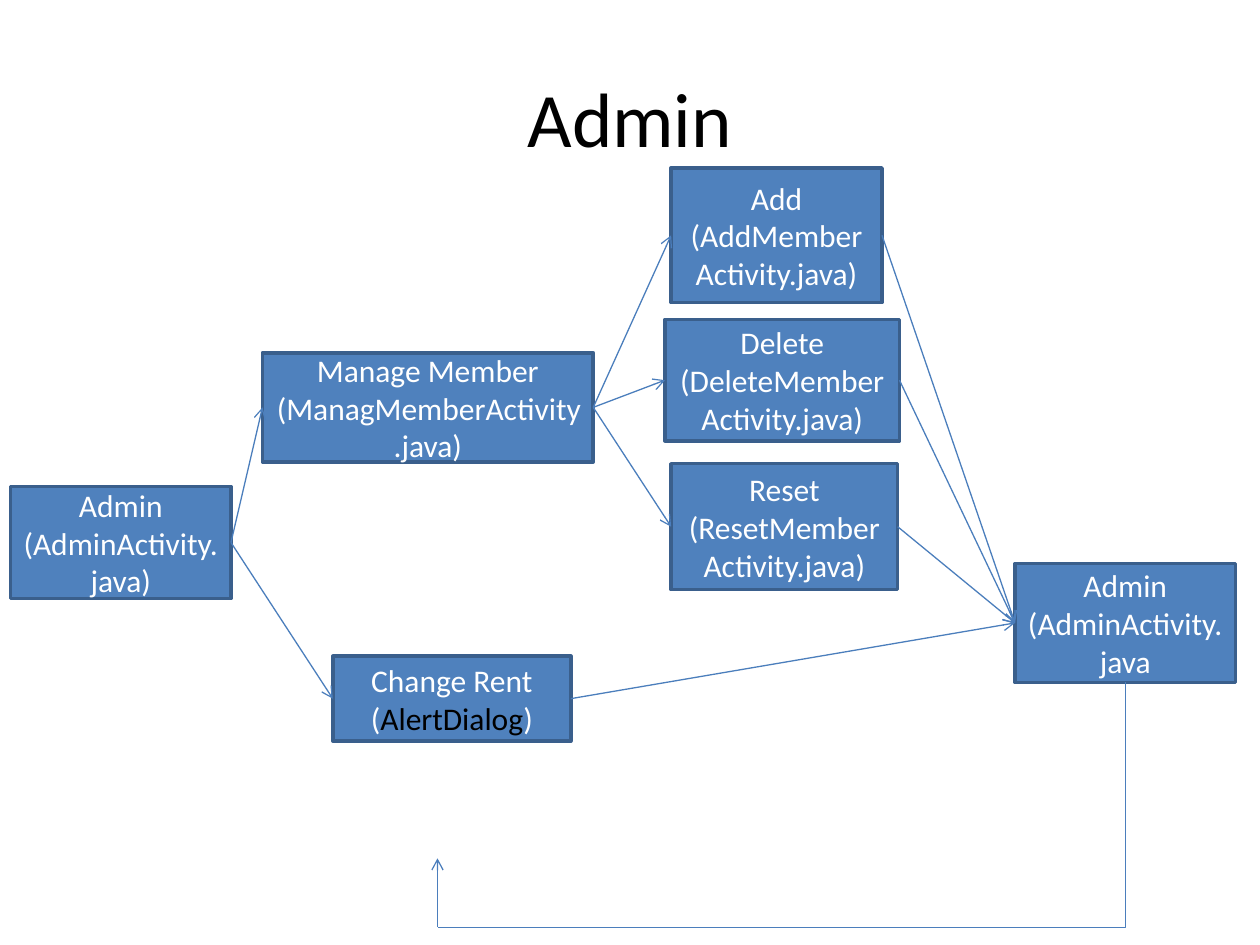
from pptx import Presentation
from pptx.dml.color import RGBColor
from pptx.enum.shapes import MSO_CONNECTOR, MSO_SHAPE
from pptx.enum.text import MSO_ANCHOR, PP_ALIGN
from pptx.oxml.ns import qn
from pptx.util import Pt
from lxml.etree import SubElement

FILL = RGBColor(0x4F, 0x81, 0xBD)
BORDER = RGBColor(0x3A, 0x5F, 0x8C)
ARROW = RGBColor(0x4B, 0x7E, 0xBC)
WHITE = RGBColor(0xFF, 0xFF, 0xFF)
BLACK = RGBColor(0, 0, 0)
FONT = "Calibri"
LEFT, RIGHT = 1, 3  # connection sites of a rectangle

# name: (left, top, width, height), title, runs of the second line
BOXES = {
    "change": ((190.2, 375, 136, 48.5), "Change Rent",
               [("(", WHITE), ("AlertDialog", BLACK), (")", WHITE)]),
    "manage": ((150, 201.6, 189, 62.4), "Manage Member",
               [("(ManagMemberActivity.java)", WHITE)]),
    "end": ((580, 322, 126, 68), "Admin", [("(AdminActivity.java", WHITE)]),
    "start": ((6, 278, 126, 64), "Admin", [("(AdminActivity.java)", WHITE)]),
    "add": ((383.5, 96, 120.5, 77), "Add",
            [("(AddMemberActivity.java)", WHITE)]),
    "delete": ((380, 182.5, 134, 69.5), "Delete",
               [("(DeleteMemberActivity.java)", WHITE)]),
    "reset": ((383.5, 265, 129.5, 72), "Reset",
              [("(ResetMemberActivity.java)", WHITE)]),
}
FLOWS = [
    ("start", "manage"), ("start", "change"), ("change", "end"),
    ("manage", "add"), ("manage", "delete"), ("manage", "reset"),
    ("add", "end"), ("delete", "end"), ("reset", "end"),
]


def style_paragraph(p, size, color):
    p.alignment = PP_ALIGN.CENTER
    p.font.name = FONT
    p.font.size = Pt(size)
    p.font.color.rgb = color


def add_title(s, text):
    tf = s.shapes.add_textbox(Pt(36), Pt(21.6), Pt(648), Pt(90)).text_frame
    tf.word_wrap = True
    tf.vertical_anchor = MSO_ANCHOR.MIDDLE
    tf.text = text
    style_paragraph(tf.paragraphs[0], 44, BLACK)


def add_box(s, bounds, title, detail):
    sp = s.shapes.add_shape(MSO_SHAPE.RECTANGLE, *map(Pt, bounds))
    sp.shadow.inherit = False
    sp.fill.solid()
    sp.fill.fore_color.rgb = FILL
    sp.line.color.rgb = BORDER
    sp.line.width = Pt(2)
    tf = sp.text_frame
    tf.word_wrap = True
    tf.vertical_anchor = MSO_ANCHOR.MIDDLE
    tf.text = title
    style_paragraph(tf.paragraphs[0], 18, WHITE)
    p = tf.add_paragraph()
    style_paragraph(p, 18, WHITE)
    for text, color in detail:
        r = p.add_run()
        r.text = text
        r.font.color.rgb = color
    return sp


def add_line(s, start=(0, 0), end=(0, 0), kind=MSO_CONNECTOR.STRAIGHT,
             arrow=True):
    line = s.shapes.add_connector(kind, *map(Pt, (*start, *end)))
    line.line.color.rgb = ARROW
    line.line.width = Pt(0.75)
    if arrow:
        SubElement(line.line._get_or_add_ln(), qn("a:tailEnd"), type="arrow")
    SubElement(line._element.spPr, qn("a:effectLst"))
    return line


def add_flow(s, source, target):
    line = add_line(s)
    line.begin_connect(source, RIGHT)
    line.end_connect(target, LEFT)


def add_corner(s, start, end):
    """Draw a line that runs down from start, then left to end."""
    (x1, y1), (x2, y2) = start, end
    down, across = y2 - y1, x1 - x2
    # The preset runs right, then down, so it is turned by 90 degrees.
    left = (x1 + x2 - down) / 2
    top = (y1 + y2 - across) / 2
    line = add_line(s, (left, top), (left + down, top + across),
                    MSO_CONNECTOR.ELBOW, arrow=False)
    spPr = line._element.spPr
    spPr.find(qn("a:prstGeom")).set("prst", "bentConnector2")
    spPr.find(qn("a:xfrm")).set("rot", str(90 * 60000))


def main():
    prs = Presentation()
    prs.slide_width, prs.slide_height = Pt(720), Pt(540)
    s = prs.slides.add_slide(prs.slide_layouts[6])
    add_title(s, "Admin")
    boxes = {name: add_box(s, *box) for name, box in BOXES.items()}
    for source, target in FLOWS:
        add_flow(s, boxes[source], boxes[target])
    corner = (250, 530)
    add_corner(s, (643, 390), corner)
    add_line(s, corner, (250, 490.5))
    prs.save("out.pptx")


if __name__ == "__main__":
    main()
